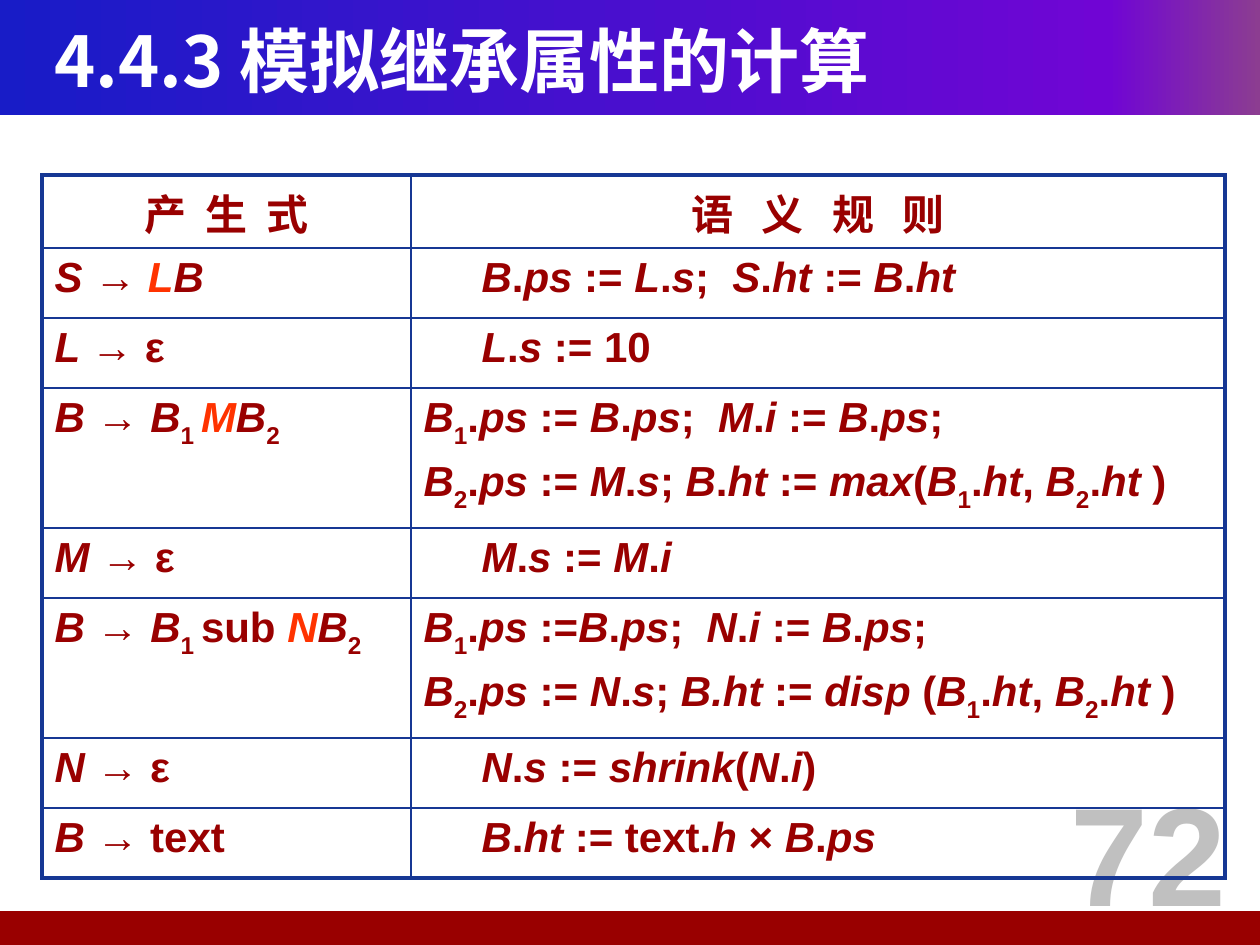
from itertools import groupby

from lxml import etree
from pptx import Presentation
from pptx import util as u
from pptx.dml.color import RGBColor
from pptx.enum import shapes, text
from pptx.oxml import ns

SCALE = 914400 / 126  # EMU in one px
WHITE = RGBColor(0xFF, 0xFF, 0xFF)
DARK_RED = RGBColor(0x99, 0x00, 0x00)
ORANGE = RGBColor(0xFF, 0x33, 0x00)
GREY = RGBColor(0xC0, 0xC0, 0xC0)
BORDER = RGBColor(0x16, 0x37, 0x94)
BLUE = RGBColor(0x18, 0x1C, 0xC7)
VIOLET = RGBColor(0x70, 0x05, 0xD4)
PLUM = RGBColor(0x8C, 0x3D, 0x91)
LATIN, CHINESE = "Arial", "Noto Sans CJK SC"

THIN, THICK = 1, 2.25
COLUMNS = [369, 814]
ROWS = [73, 70, 70, 132, 70, 132, 70, 70]
RULE_INDENT = 58
WIDE_SPACE = 667  # extra spacing, hundredths of a point

# Header text with its letter spacing in hundredths of a point
HEADERS = [("产 生 式", 270), ("语 义 规 则", 540)]

# Marks: * italic, _ subscript, ! accent colour (each switches on and off), ~ wide space
GRAMMAR = [
    ("*S *→ *!L!B*", ["*B*.*ps* := *L*.*s*;~*S*.*ht* := *B*.*ht*"]),
    ("*L *→ ε", ["*L*.*s *:= 10"]),
    ("*B *→* B*_1 _*!M!B*_2_", [
        "*B*_1_.*ps* := *B*.*ps*;~*M*.*i* := *B*.*ps*;",
        "*B*_2_.*ps* :=* M*.*s*; *B*.*ht* := *max*(*B*_1_.*ht*, *B*_2_.*ht *)"]),
    ("*M *→ ε", ["*M*.*s *:= *M*.*i*"]),
    ("*B *→* B*_1 _sub *!N!B*_2_", [
        "*B*_1_.*ps* :=*B*.*ps*;~*N*.*i* := *B*.*ps*;",
        "*B*_2_.*ps* := *N*.*s*; *B.ht* := *disp* (*B*_1_.*ht*, *B*_2_.*ht *)"]),
    ("*N *→ ε", ["*N*.*s *:= *shrink*(*N*.*i*)"]),
    ("*B *→ text", ["*B*.*ht* := text.*h *×* B*.*ps*"]),
]


def px(value):
    return u.Emu(round(value * SCALE))


def box(*lengths):
    return [px(length) for length in lengths]


def set_all(target, **values):
    for name, value in values.items():
        setattr(target, name, value)


def sub_element(parent, tag, **attributes):
    child = etree.SubElement(parent, ns.qn(tag))
    for name, value in attributes.items():
        child.set(name, str(value))
    return child


def add_run(paragraph, words, size, color, name=LATIN, italic=False, **attributes):
    run = paragraph.add_run()
    run.text = words
    set_all(run.font, size=u.Pt(size), bold=True, italic=italic, name=name)
    run.font.color.rgb = color
    properties = run.font._element
    sub_element(properties, "a:ea", typeface=name)
    for key, value in attributes.items():
        properties.set(key, str(value))


def add_formula(paragraph, formula):
    """Turn a marked-up formula into runs."""
    switches = dict.fromkeys("*_!", False)
    letters = []
    for letter in formula:
        if letter in switches:
            switches[letter] = not switches[letter]
        else:
            letters.append((letter, (*switches.values(), letter == "~")))
    for (italic, subscript, accent, wide), group in groupby(letters, lambda item: item[1]):
        words = "".join(letter for letter, _ in group)
        extra = {"baseline": -30000} if subscript else {}
        if wide:
            extra["spc"] = WIDE_SPACE
        add_run(paragraph, words.replace("~", " "), 24, ORANGE if accent else DARK_RED,
                italic=italic, **extra)


def add_band(slide, *place):
    band = slide.shapes.add_shape(shapes.MSO_SHAPE.RECTANGLE, *box(*place))
    band.shadow.inherit = False
    band.line.fill.background()
    return band


def fill_gradient(shape, stops):
    shape.fill.gradient()
    shape.fill.gradient_angle = 0
    stop_list = shape._element.spPr.find(".//" + ns.qn("a:gsLst"))
    for old in list(stop_list):
        stop_list.remove(old)
    for percent, color in stops:
        stop = sub_element(stop_list, "a:gs", pos=percent * 1000)
        sub_element(stop, "a:srgbClr", val=color)


def add_title(slide, words):
    title = slide.shapes.title
    left, top, width, height = box(42, 21, 1166, 78)
    set_all(title, left=left, top=top, width=width, height=height)
    set_all(title.text_frame, vertical_anchor=text.MSO_ANCHOR.MIDDLE, word_wrap=True,
            auto_size=text.MSO_AUTO_SIZE.NONE)
    paragraph = title.text_frame.paragraphs[0]
    paragraph.alignment = text.PP_ALIGN.LEFT
    add_run(paragraph, words, 40, WHITE, CHINESE)
    # Bring the title in front of the band
    title._element.getparent().append(title._element)


def add_page_number(slide, number):
    frame = slide.shapes.add_textbox(*box(1037, 760, 223, 179)).text_frame
    frame.word_wrap = True
    paragraph = frame.paragraphs[0]
    paragraph.alignment = text.PP_ALIGN.CENTER
    add_run(paragraph, number, 80, GREY)


def format_cell(cell, row, column):
    """Thick lines on the outside of the table, thin ones inside."""
    outside = {"a:lnL": column == 0, "a:lnR": column == len(COLUMNS) - 1,
               "a:lnT": row == 0, "a:lnB": row == len(ROWS) - 1}
    properties = cell._tc.get_or_add_tcPr()
    for tag, is_outside in outside.items():
        line = sub_element(properties, tag, w=u.Pt(THICK if is_outside else THIN))
        sub_element(sub_element(line, "a:solidFill"), "a:srgbClr", val=BORDER)
    cell.fill.background()


def fill_rules(cell, rules):
    frame = cell.text_frame
    for index, rule in enumerate(rules):
        paragraph = frame.add_paragraph() if index else frame.paragraphs[0]
        if index:
            paragraph.space_before = u.Pt(4.8)
        if len(rules) > 1:
            paragraph.alignment = text.PP_ALIGN.JUSTIFY
        else:
            properties = paragraph._p.get_or_add_pPr()
            properties.set("marL", str(px(RULE_INDENT)))
            properties.set("indent", "0")
        add_formula(paragraph, rule)


def add_grammar_table(slide):
    frame = slide.shapes.add_table(len(ROWS), len(COLUMNS),
                                   *box(42, 175, sum(COLUMNS), sum(ROWS)))
    table = frame.table
    set_all(table, first_row=False, horz_banding=False)
    for column, width in zip(table.columns, COLUMNS):
        column.width = px(width)
    for row, height in zip(table.rows, ROWS):
        row.height = px(height)
    for row in range(len(ROWS)):
        for column in range(len(COLUMNS)):
            format_cell(table.cell(row, column), row, column)
    for column, (words, spacing) in enumerate(HEADERS):
        paragraph = table.cell(0, column).text_frame.paragraphs[0]
        paragraph.alignment = text.PP_ALIGN.CENTER
        add_run(paragraph, words, 24, DARK_RED, CHINESE, spc=spacing)
    for row, (production, rules) in enumerate(GRAMMAR, start=1):
        add_formula(table.cell(row, 0).text_frame.paragraphs[0], production)
        fill_rules(table.cell(row, 1), rules)


def main():
    presentation = Presentation()
    set_all(presentation, slide_width=px(1260), slide_height=px(945))
    slide = presentation.slides.add_slide(presentation.slide_layouts[5])

    # Bands at top and bottom
    fill_gradient(add_band(slide, 0, 0, 1260, 115), [(0, BLUE), (88, VIOLET), (100, PLUM)])
    footer = add_band(slide, -5, 911, 1265, 34)
    footer.fill.solid()
    footer.fill.fore_color.rgb = DARK_RED

    # Content
    add_title(slide, "4.4.3 模拟继承属性的计算")
    add_page_number(slide, "72")
    add_grammar_table(slide)
    presentation.save("out.pptx")


if __name__ == "__main__":
    main()
